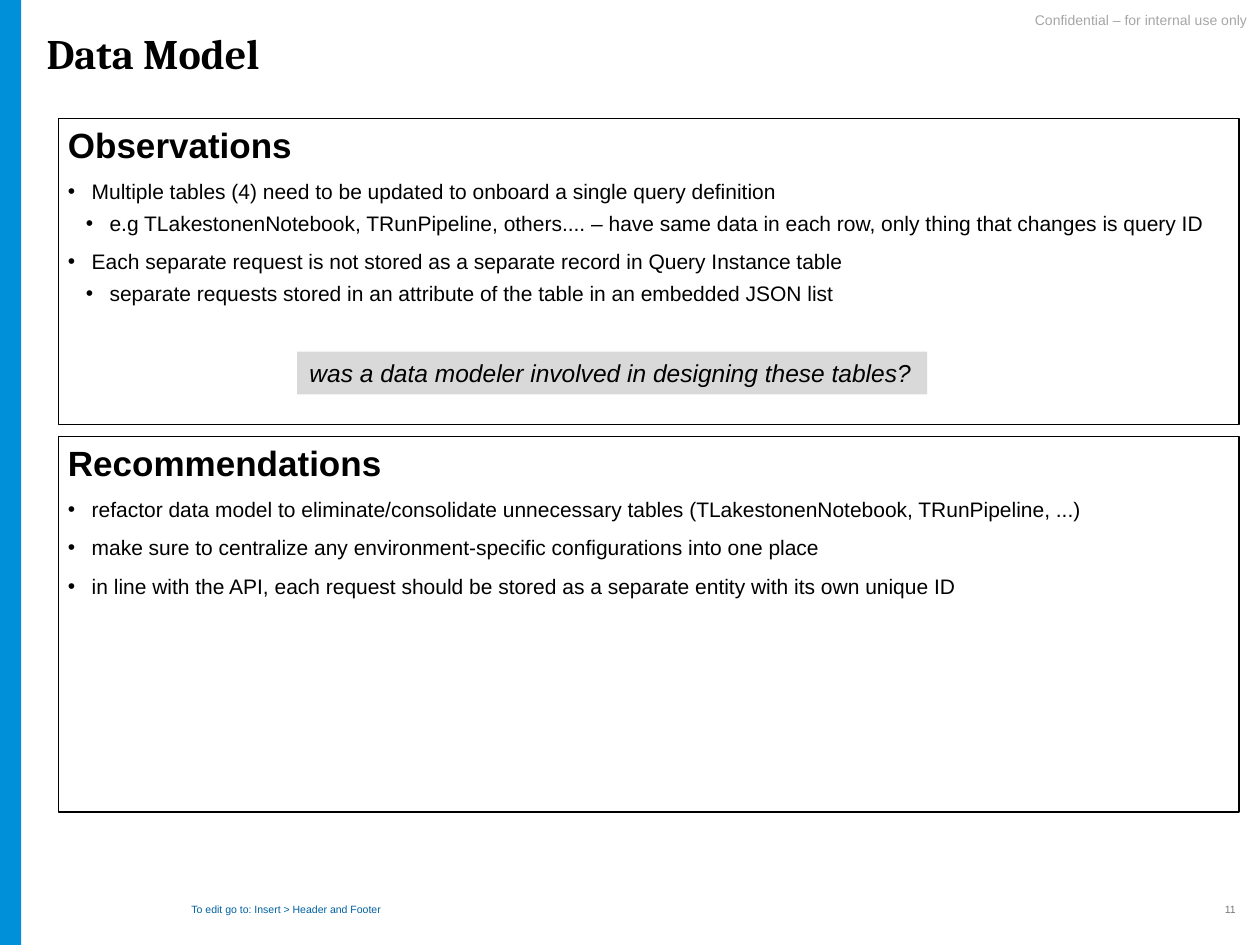
from dataclasses import dataclass

import pptx
import pptx.dml.color
import pptx.enum.shapes
import pptx.enum.text
import pptx.oxml.ns
import pptx.util
from lxml import etree

Cm = pptx.util.Cm
Pt = pptx.util.Pt
Align = pptx.enum.text.PP_ALIGN
Anchor = pptx.enum.text.MSO_ANCHOR

BLACK = "000000"
INDENTS = (0.48, 0.84)
HANGING = 0.48
SPACES_BEFORE = (7.5, 3.8)
NARROW_INSETS = (0.19, 0.1)


@dataclass
class Box:
    left: float
    top: float
    width: float
    height: float

    def lengths(self):
        return Cm(self.left), Cm(self.top), Cm(self.width), Cm(self.height)


@dataclass
class Style:
    size: float
    color: str = BLACK
    font: str = "Arial"
    bold: bool = False
    italic: bool = False


@dataclass
class Label:
    text: str
    box: Box
    style: Style
    align: Align = Align.LEFT
    anchor: Anchor = Anchor.TOP
    line_spacing: float = 1.0
    insets: tuple[float, float] = NARROW_INSETS


@dataclass
class Bullet:
    text: str
    level: int = 0


@dataclass
class Panel:
    heading: str
    box: Box
    bullets: list[Bullet]


HEADING = Style(20, bold=True)
BODY = Style(12)

LABELS = [
    Label("Confidential – for internal use only", Box(17.63, 0.28, 7.77, 0.58),
          Style(8, "A6A6A6"), Align.RIGHT, line_spacing=0.9, insets=(0.25, 0)),
    Label("11", Box(23.22, 17.83, 1.88, 1.02), Style(6, "75787B"), Align.RIGHT, Anchor.MIDDLE),
    Label("Data Model", Box(0.75, 0.56, 21.97, 1.24),
          Style(24, font="Cambria", bold=True), line_spacing=0.9),
    Label("To edit go to: Insert > Header and Footer", Box(3.67, 18.13, 8.59, 0.41),
          Style(6, "0061A0"), anchor=Anchor.MIDDLE),
]

PANELS = [
    Panel("Observations", Box(1.18, 2.39, 23.8, 6.17), [
        Bullet("Multiple tables (4) need to be updated to onboard a single query definition"),
        Bullet("e.g TLakestonenNotebook, TRunPipeline, others.... – have same data in each row, "
               "only thing that changes is query ID", 1),
        Bullet("Each separate request is not stored as a separate record in Query Instance table"),
        Bullet("separate requests stored in an attribute of the table in an embedded JSON list", 1),
    ]),
    Panel("Recommendations", Box(1.18, 8.8, 23.8, 7.57), [
        Bullet("refactor data model to eliminate/consolidate unnecessary tables "
               "(TLakestonenNotebook, TRunPipeline, ...)"),
        Bullet("make sure to centralize any environment-specific configurations into one place"),
        Bullet("in line with the API, each request should be stored as a separate entity "
               "with its own unique ID"),
    ]),
]


def rgb(color: str):
    return pptx.dml.color.RGBColor.from_string(color)


def format_runs(paragraph, style: Style) -> None:
    for run in paragraph.runs:
        font = run.font
        font.name = style.font
        font.size = Pt(style.size)
        font.bold = style.bold
        font.italic = style.italic
        font.color.rgb = rgb(style.color)


def set_frame(text_frame, insets: tuple[float, float], anchor: Anchor, wrap: bool = True) -> None:
    horizontal, vertical = insets
    text_frame.margin_left = text_frame.margin_right = Cm(horizontal)
    text_frame.margin_top = text_frame.margin_bottom = Cm(vertical)
    text_frame.vertical_anchor = anchor
    text_frame.word_wrap = wrap


def add_rectangle(slide, box: Box, fill: str | None = None, line: str | None = None):
    shape = slide.shapes.add_shape(pptx.enum.shapes.MSO_SHAPE.RECTANGLE, *box.lengths())
    shape.shadow.inherit = False
    if fill:
        shape.fill.solid()
        shape.fill.fore_color.rgb = rgb(fill)
    else:
        shape.fill.background()
    if line:
        shape.line.color.rgb = rgb(line)
        shape.line.width = Pt(0.75)
    else:
        shape.line.fill.background()
    return shape


def add_label(slide, label: Label) -> None:
    text_frame = slide.shapes.add_textbox(*label.box.lengths()).text_frame
    set_frame(text_frame, label.insets, label.anchor)
    text_frame.text = label.text
    paragraph = text_frame.paragraphs[0]
    paragraph.alignment = label.align
    paragraph.line_spacing = label.line_spacing
    format_runs(paragraph, label.style)


def set_bullet(paragraph, level: int) -> None:
    paragraph.level = level
    properties = paragraph._p.get_or_add_pPr()
    properties.set("marL", str(Cm(INDENTS[level])))
    properties.set("indent", str(-Cm(HANGING)))
    for tag, name, value in (("a:buFont", "typeface", "Arial"), ("a:buChar", "char", "•")):
        etree.SubElement(properties, pptx.oxml.ns.qn(tag)).set(name, value)


def add_panel(slide, panel: Panel) -> None:
    text_frame = add_rectangle(slide, panel.box, line=BLACK).text_frame
    set_frame(text_frame, NARROW_INSETS, Anchor.TOP)
    text_frame.text = "\n".join([panel.heading, *(bullet.text for bullet in panel.bullets)])
    heading, *items = text_frame.paragraphs
    heading.alignment = Align.LEFT
    heading.space_before = Pt(SPACES_BEFORE[0])
    format_runs(heading, HEADING)
    for paragraph, bullet in zip(items, panel.bullets):
        paragraph.alignment = Align.LEFT
        paragraph.space_before = Pt(SPACES_BEFORE[bullet.level])
        set_bullet(paragraph, bullet.level)
        format_runs(paragraph, BODY)


def add_callout(slide, text: str, box: Box) -> None:
    text_frame = add_rectangle(slide, box, fill="D9D9D9").text_frame
    set_frame(text_frame, (0.25, 0.13), Anchor.TOP, wrap=False)
    text_frame.auto_size = pptx.enum.text.MSO_AUTO_SIZE.SHAPE_TO_FIT_TEXT
    text_frame.text = text
    paragraph = text_frame.paragraphs[0]
    paragraph.alignment = Align.LEFT
    format_runs(paragraph, Style(14, italic=True))


def main() -> None:
    presentation = pptx.Presentation()
    presentation.slide_width = Cm(25.4)
    presentation.slide_height = Cm(19.05)
    slide = presentation.slides.add_slide(presentation.slide_layouts[6])
    add_rectangle(slide, Box(0, 0, 0.43, 19.05), fill="0090DA")
    for label in LABELS:
        add_label(slide, label)
    for panel in PANELS:
        add_panel(slide, panel)
    add_callout(slide, "was a data modeler involved in designing these tables?",
                Box(5.99, 7.09, 12.7, 0.86))
    presentation.save("out.pptx")


if __name__ == "__main__":
    main()
